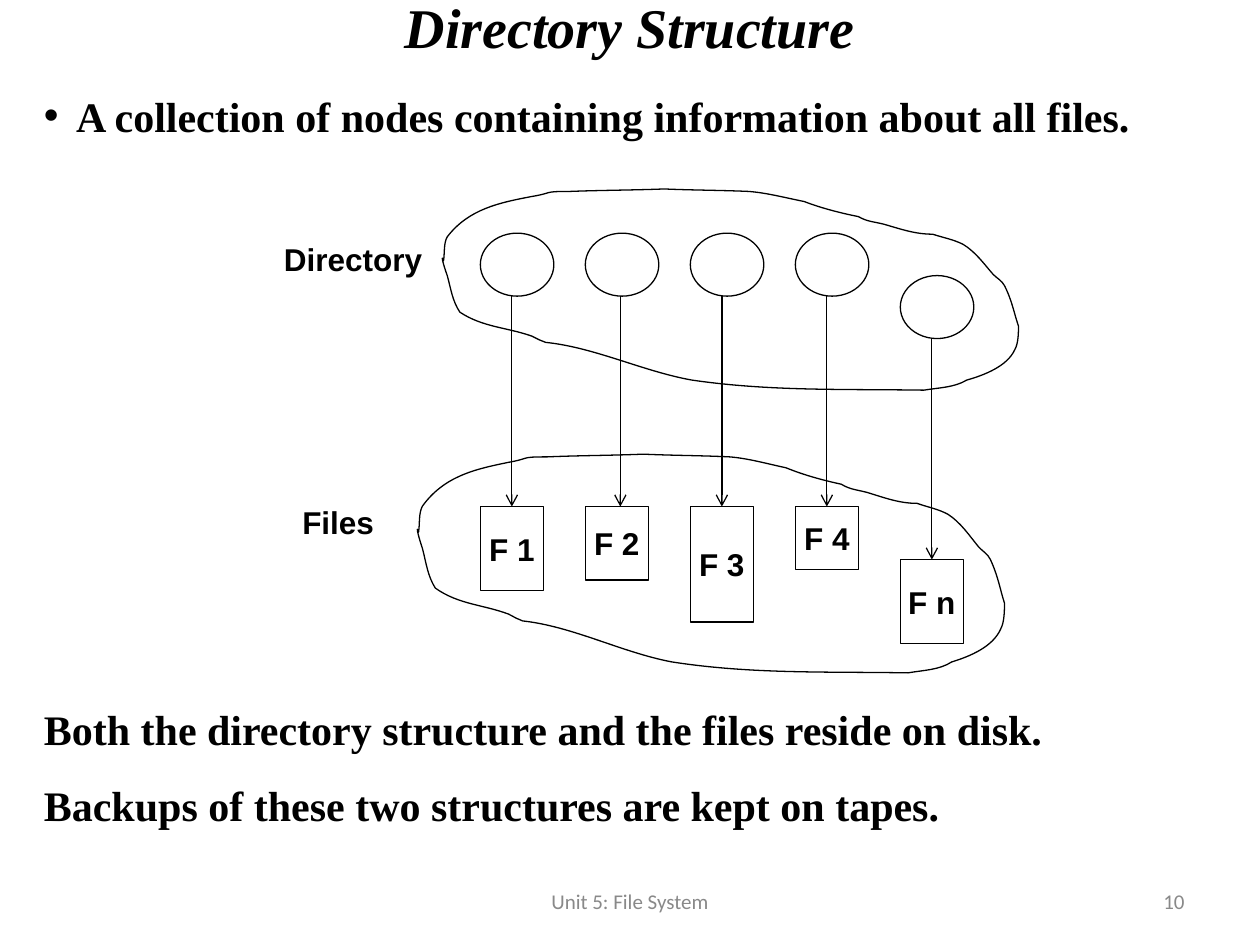
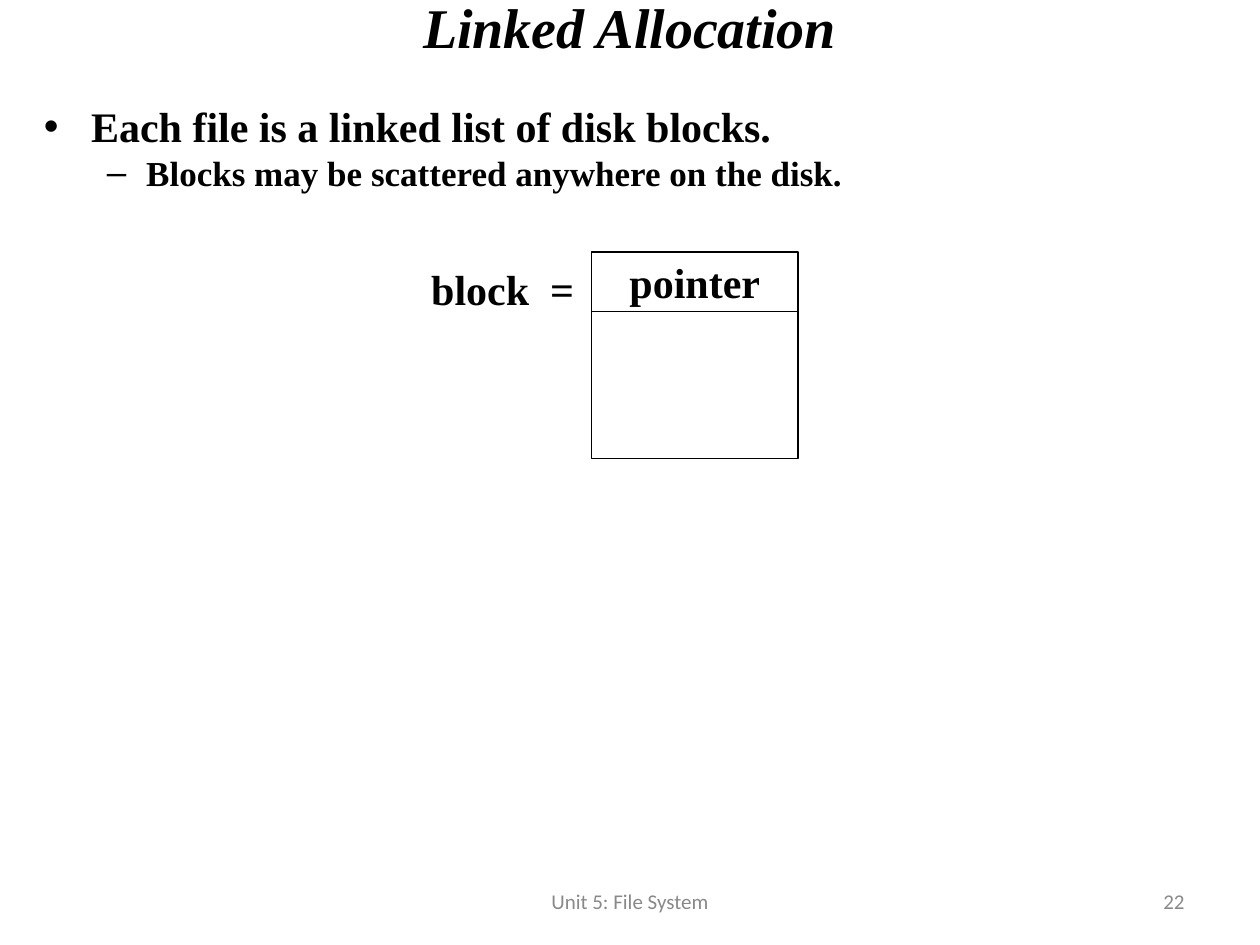
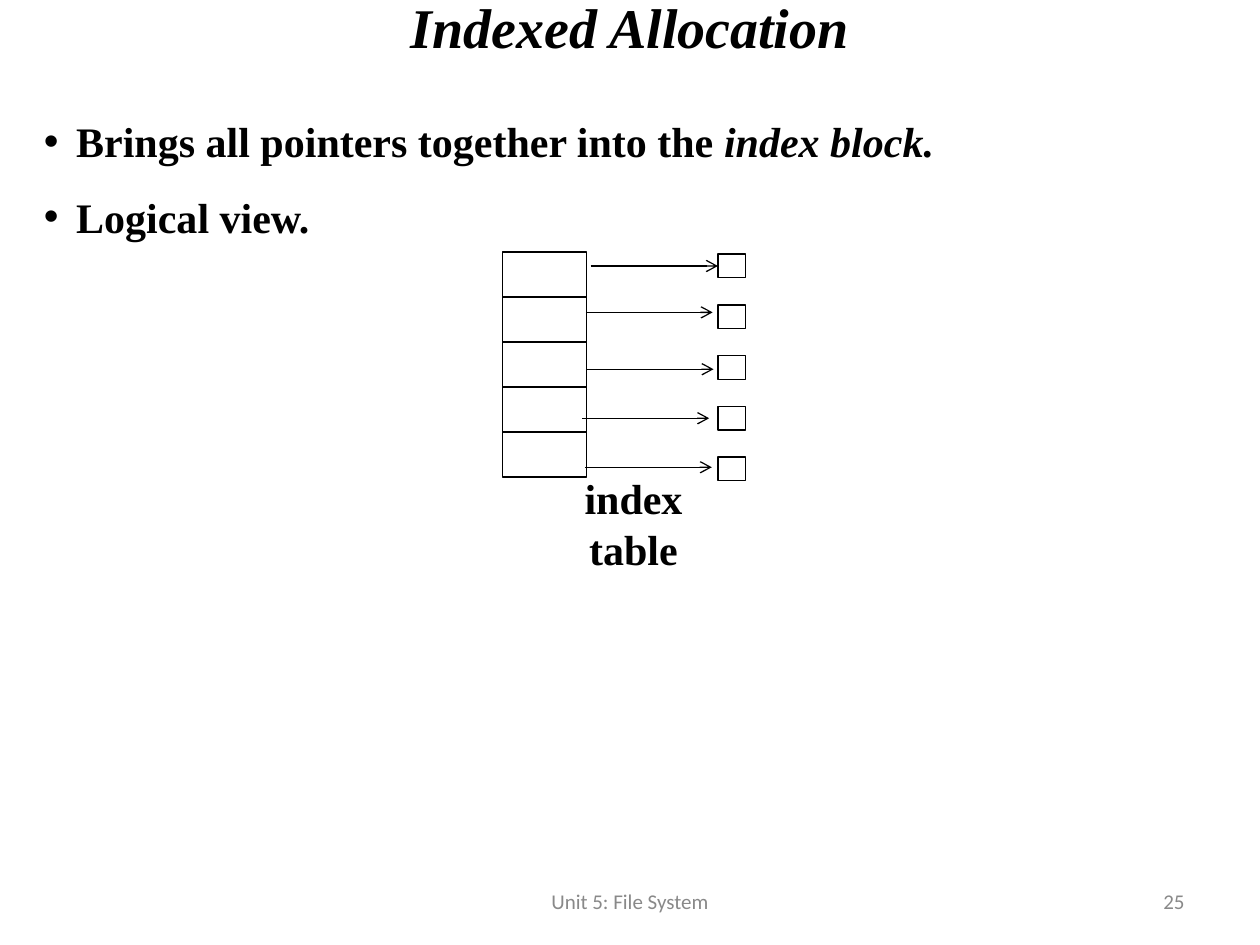
from collections import namedtuple

from lxml.etree import SubElement
from pptx import Presentation
from pptx.dml.color import RGBColor
from pptx.enum.shapes import MSO_CONNECTOR, MSO_SHAPE
from pptx.enum.text import MSO_ANCHOR, MSO_AUTO_SIZE, PP_ALIGN
from pptx.oxml.ns import qn
from pptx.util import Pt

BLACK = RGBColor(0x00, 0x00, 0x00)
WHITE = RGBColor(0xFF, 0xFF, 0xFF)
GREY = RGBColor(0x89, 0x89, 0x89)
SERIF, SANS, FOOTER_FONT = "Times New Roman", "Arial", "Calibri"
LINE_WIDTH = Pt(0.75)
TOP, LEFT = 0, 1

Box = namedtuple("Box", "left top width height")

TITLE_BOX = Box(0, 0, 720, 30)
FOOTER_BOX = Box(246, 500.5, 228, 28.75)
NUMBER_BOX = Box(516, 500.5, 168, 28.75)

CLOUD_GRID = (457, 160)
CLOUD_START = (1, 57)
CLOUD_CURVES = [
    (2, 51, 1, 43, 4, 38), (21, 16, 45, 11, 71, 6), (89, 3, 79, 2, 101, 2),
    (126, 1, 151, 1, 176, 0), (198, 1, 221, 1, 243, 2), (257, 3, 272, 7, 287, 10),
    (300, 15, 315, 19, 330, 22), (337, 26, 342, 26, 350, 28), (364, 32, 375, 36, 389, 36),
    (398, 39, 405, 40, 413, 44), (423, 50, 430, 60, 437, 68), (440, 71, 444, 73, 446, 77),
    (450, 85, 452, 92, 454, 99), (455, 103, 457, 109, 457, 109), (457, 114, 457, 123, 454, 128),
    (448, 141, 430, 148, 416, 152), (406, 158, 394, 158, 382, 160), (318, 159, 260, 161, 198, 152),
    (159, 145, 121, 126, 82, 122), (80, 121, 79, 121, 77, 120), (75, 119, 73, 118, 71, 117),
    (51, 110, 32, 110, 14, 98), (8, 89, 7, 80, 4, 69), (4, 69, 0, 58, 0, 55),
    (0, 55, 1, 56, 1, 57),
]


def write(frame, text, *, size=24, font=SERIF, color=BLACK, bold=True, italic=False,
          emphasis="", align=PP_ALIGN.CENTER, spacing=None, bullet="", margin=0, indent=0):
    paragraph = frame.add_paragraph() if frame.text else frame.paragraphs[0]
    paragraph.alignment = align
    if spacing:
        paragraph.line_spacing = spacing
    properties = paragraph._p.get_or_add_pPr()
    properties.set("marL", str(Pt(margin)))
    properties.set("indent", str(Pt(indent)))
    if bullet:
        bullet_color = SubElement(properties, qn("a:buClr"))
        SubElement(bullet_color, qn("a:srgbClr")).set("val", str(color))
        SubElement(properties, qn("a:buFont")).set("typeface", SANS)
        SubElement(properties, qn("a:buChar")).set("char", bullet)
    paragraph.font.size, paragraph.font.name, paragraph.font.bold = Pt(size), font, bold
    for part, slanted in ((text, italic), (emphasis, True)):
        if part:
            run = paragraph.add_run()
            run.text = part
            run.font.size, run.font.name = Pt(size), font
            run.font.bold, run.font.italic = bold, slanted
            run.font.color.rgb = color


def add_frame(slide, box, anchor=MSO_ANCHOR.MIDDLE, wrap=True):
    frame = slide.shapes.add_textbox(*map(Pt, box)).text_frame
    frame.word_wrap = wrap
    frame.auto_size = MSO_AUTO_SIZE.NONE if wrap else MSO_AUTO_SIZE.SHAPE_TO_FIT_TEXT
    frame.vertical_anchor = anchor
    return frame


def outline(shape):
    shape.shadow.inherit = False
    shape.line.color.rgb = BLACK
    shape.line.width = LINE_WIDTH


def add_outlined(slide, box, preset=MSO_SHAPE.RECTANGLE, label="", font=SERIF, size=24):
    shape = slide.shapes.add_shape(preset, *map(Pt, box))
    outline(shape)
    shape.fill.solid()
    shape.fill.fore_color.rgb = WHITE
    if label:
        shape.text_frame.word_wrap = False
        shape.text_frame.vertical_anchor = MSO_ANCHOR.MIDDLE
        write(shape.text_frame, label, font=font, size=size)
    return shape


def add_arrow(slide, start, end, target=None, site=TOP):
    arrow = slide.shapes.add_connector(MSO_CONNECTOR.STRAIGHT, *map(Pt, start + end))
    if target is not None:
        arrow.end_connect(target, site)
    arrow.line.color.rgb = BLACK
    arrow.line.width = LINE_WIDTH
    SubElement(arrow.line._get_or_add_ln(), qn("a:tailEnd")).set("type", "arrow")
    SubElement(arrow._element.spPr, qn("a:effectLst"))


def bend_segments(shape):
    segments = list(shape._element.iter(qn("a:lnTo")))
    for first in range(0, len(segments), 3):
        curve = segments[first].makeelement(qn("a:cubicBezTo"))
        segments[first].addprevious(curve)
        for segment in segments[first:first + 3]:
            curve.append(segment[0])
            segment.getparent().remove(segment)


def add_cloud(slide, box):
    def place(x, y):
        return (Pt(box.left + x * box.width / CLOUD_GRID[0]),
                Pt(box.top + y * box.height / CLOUD_GRID[1]))

    builder = slide.shapes.build_freeform(*place(*CLOUD_START))
    builder.add_line_segments([place(*curve[i:i + 2]) for curve in CLOUD_CURVES
                               for i in (0, 2, 4)])
    cloud = builder.convert_to_shape()
    bend_segments(cloud)
    outline(cloud)
    cloud.fill.background()


def add_slide(deck, title):
    slide = deck.slides.add_slide(deck.slide_layouts[6])
    title_frame = add_frame(slide, TITLE_BOX)
    title_frame.margin_top = title_frame.margin_bottom = 0
    write(title_frame, title, size=32, italic=True)
    return slide


def add_footer(slide, number):
    style = dict(size=12, font=FOOTER_FONT, color=GREY, bold=False)
    write(add_frame(slide, NUMBER_BOX), str(number), align=PP_ALIGN.RIGHT, **style)
    write(add_frame(slide, FOOTER_BOX), "Unit 5: File System", **style)


def add_body(slide, box, paragraphs):
    frame = add_frame(slide, box, MSO_ANCHOR.TOP)
    for text, style in paragraphs:
        write(frame, text, align=PP_ALIGN.JUSTIFY, **style)


def draw_directory(slide, box):
    pitch, node_width, node_height, file_width = 60, 42, 36, 36
    first_left = box.left + 36
    files = [("F 1", 48, 0), ("F 2", 42, 2), ("F 3", 66, 0), ("F 4", 36, 0), ("F n", 48, 0)]
    last = len(files) - 1
    for index, (name, file_height, arrow_shift) in enumerate(files):
        left = first_left + index * pitch
        node_top = box.top + (49.5 if index == last else 25.25)
        file_top = box.top + (211.75 if index == last else 181.5)
        add_outlined(slide, Box(left, node_top, node_width, node_height), MSO_SHAPE.OVAL)
        file_block = add_outlined(slide, Box(left, file_top, file_width, file_height),
                                  label=name, font=SANS, size=18)
        arrow_x = left + file_width / 2 + arrow_shift
        add_arrow(slide, (arrow_x, node_top + node_height), (arrow_x, file_top),
                  None if arrow_shift else file_block)
    add_cloud(slide, Box(box.left + 14.25, box.top, 329.25, 115))
    add_cloud(slide, Box(box.left, box.top + 151.5, 335.5, 125))
    for name, label_box in (("Directory", Box(box.left - 83.5, box.top + 25.25, 93.5, 29)),
                            ("Files", Box(box.left - 73, box.top + 175.5, 55.5, 29))):
        write(add_frame(slide, label_box, wrap=False), name, font=SANS, size=18)


def draw_block(slide, box):
    pointer_height = 34
    add_outlined(slide, Box(box.left, box.top, box.width, pointer_height), label="pointer")
    add_outlined(slide, Box(box.left, box.top + pointer_height, box.width,
                            box.height - pointer_height))
    write(add_frame(slide, Box(box.left - 98.75, box.top + 3, 96, 36), wrap=False), "block  =")


def draw_index_table(slide, box):
    arrow_starts = [(50.25, 8), (47.5, 34.5), (48, 67), (45.5, 95), (47, 123)]
    entry_width, block_width, block_height, block_pitch = 47.75, 16, 13.5, 29
    entry_height = box.height / len(arrow_starts)
    block_left = box.left + box.width - block_width
    for index, (x, y) in enumerate(arrow_starts):
        add_outlined(slide, Box(box.left, box.top + index * entry_height,
                                entry_width, entry_height))
        data_block = add_outlined(slide, Box(block_left, box.top + 1.25 + index * block_pitch,
                                             block_width, block_height))
        start = (box.left + x, box.top + y)
        add_arrow(slide, start, (start[0] + 72.5, start[1]),
                  data_block if index == 0 else None, LEFT)
    write(add_frame(slide, Box(box.left + 11.5, box.top + 137, 126.5, 36), wrap=False),
          "index table")


def main():
    deck = Presentation()
    deck.slide_width, deck.slide_height = Pt(720), Pt(540)
    bullet = dict(bullet="•", margin=36.5, indent=-18.5)
    open_bullet = dict(bullet, spacing=1.5)
    plain = dict(margin=18, spacing=1.5)

    directory = add_slide(deck, "Directory Structure")
    add_body(directory, Box(0, 48, 720, 36),
             [("A collection of nodes containing information about all files.", bullet)])
    draw_directory(directory, Box(238.5, 108, 344, 277))
    add_body(directory, Box(0, 384, 720, 90),
             [("Both the directory structure and the files reside on disk.", plain),
              ("Backups of these two structures are kept on tapes.", plain)])
    add_footer(directory, 10)

    linked = add_slide(deck, "Linked Allocation")
    add_body(linked, Box(18, 54, 690, 60),
             [("Each file is a linked list of disk blocks.",
               dict(bullet="•", margin=27, indent=-27)),
              ("Blocks may be scattered anywhere on the disk.",
               dict(bullet="–", margin=58.5, indent=-22.5, size=20))])
    draw_block(linked, Box(338, 144, 118, 118))
    add_footer(linked, 22)

    indexed = add_slide(deck, "Indexed Allocation")
    add_body(indexed, Box(0, 48, 720, 96),
             [("Brings all pointers together into the ",
               dict(open_bullet, emphasis="index block.")),
              ("Logical view.", open_bullet)])
    draw_index_table(indexed, Box(287.25, 144, 139, 128.5))
    add_footer(indexed, 25)

    deck.save("out.pptx")


if __name__ == "__main__":
    main()
